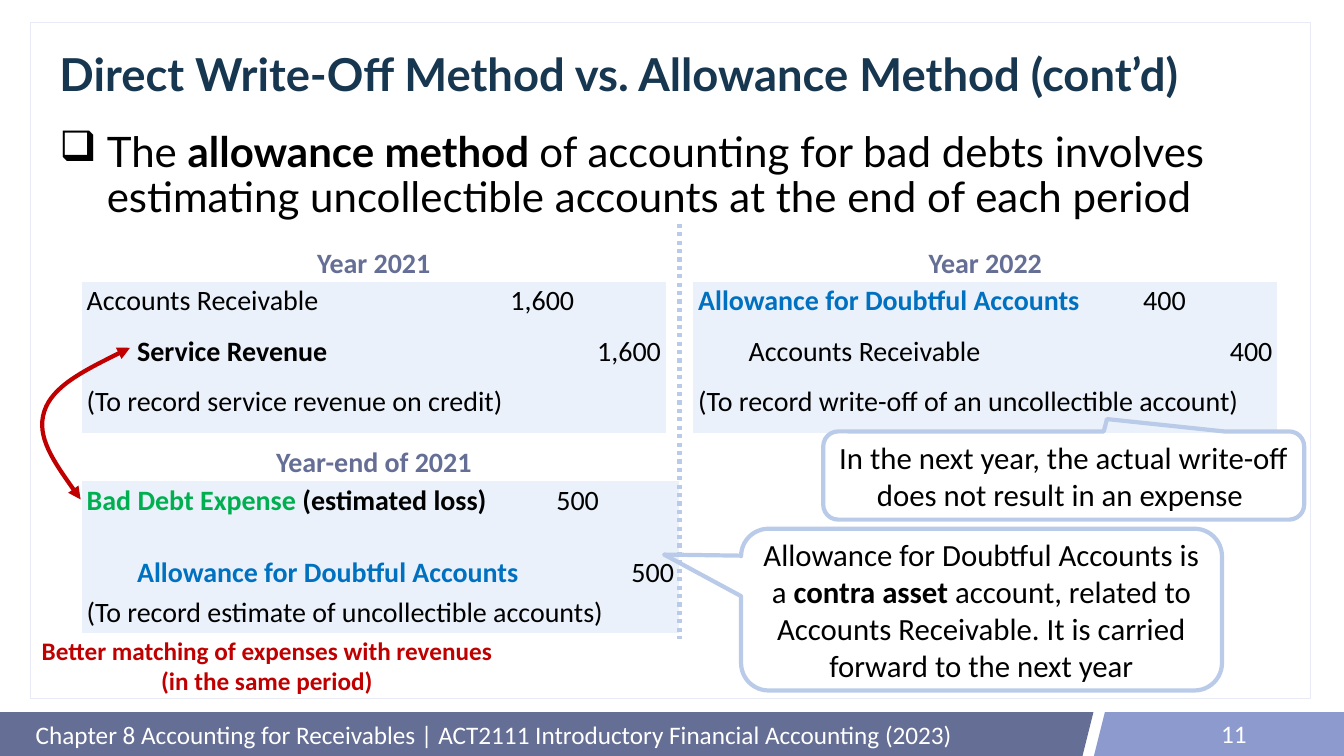
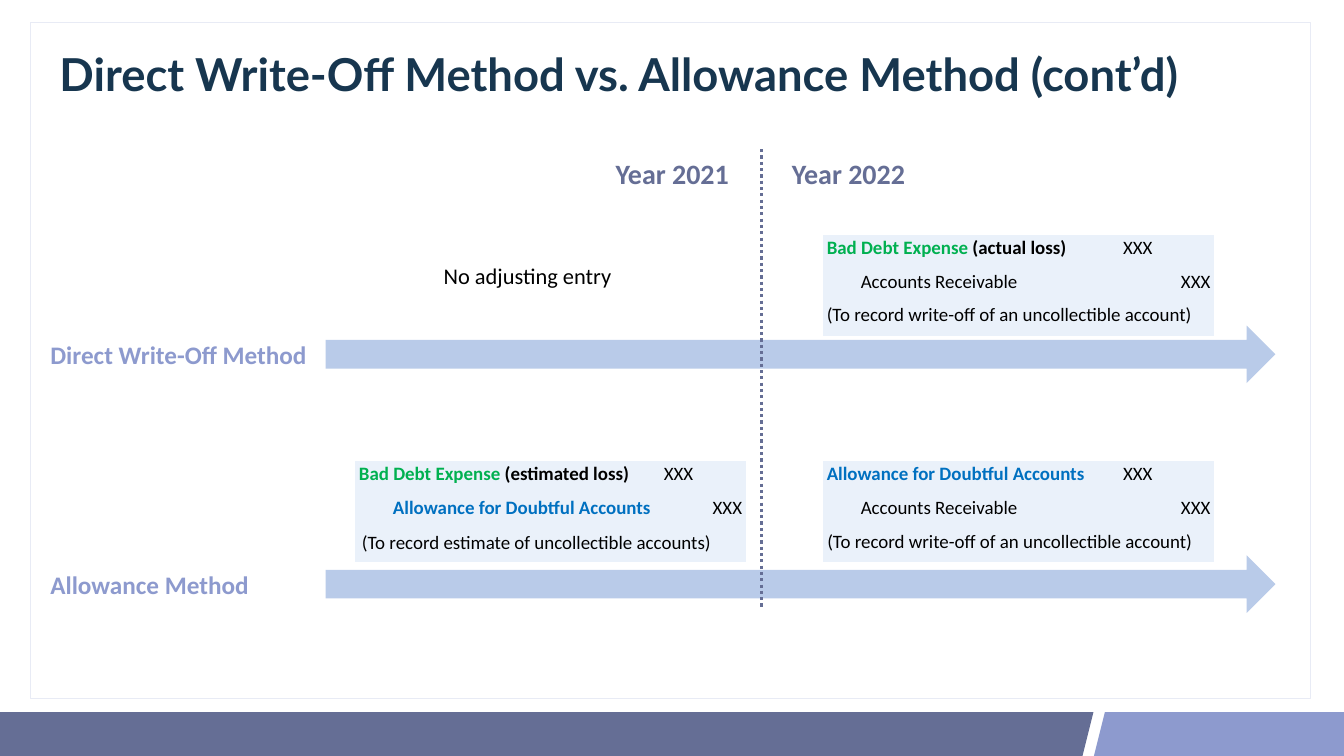
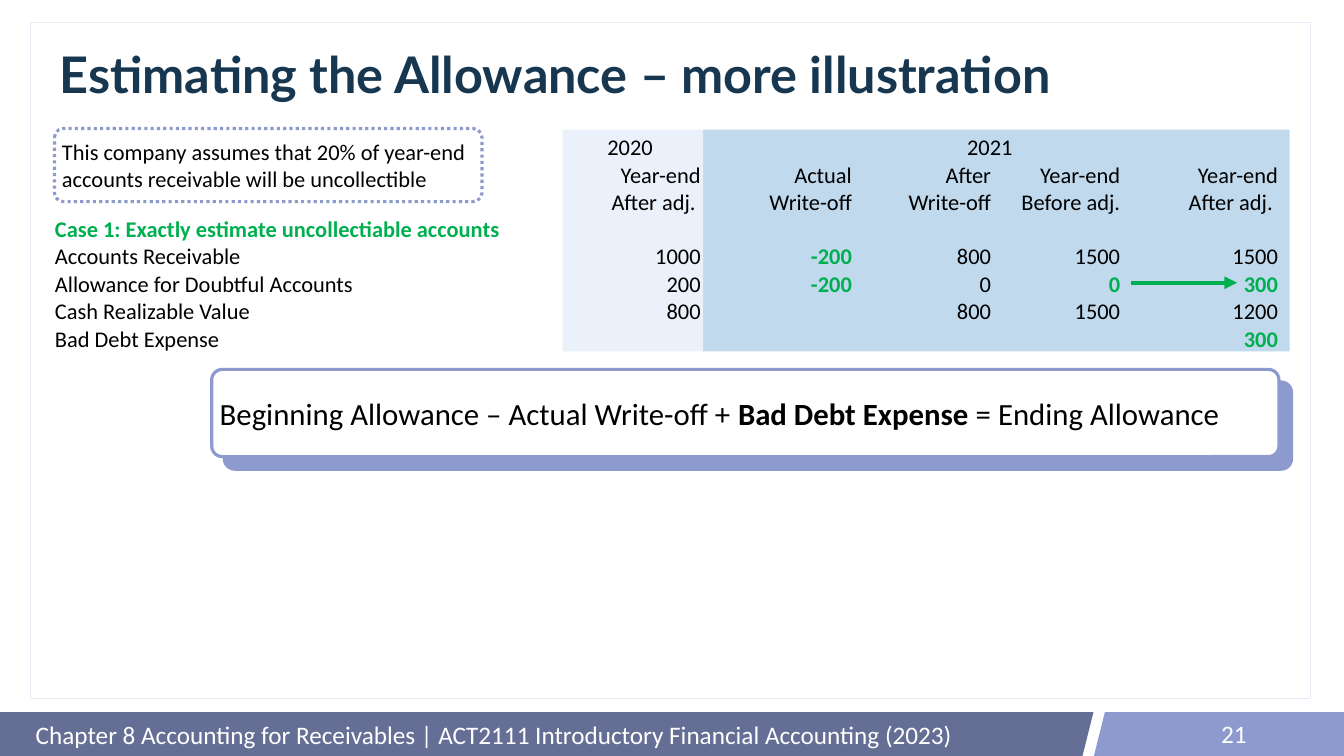
from dataclasses import dataclass
from typing import NamedTuple, Optional

from lxml.etree import SubElement
from pptx import Presentation
from pptx.dml.color import RGBColor
from pptx.enum.dml import MSO_LINE
from pptx.enum.shapes import MSO_CONNECTOR, MSO_SHAPE
from pptx.enum.text import MSO_ANCHOR, PP_ALIGN
from pptx.oxml.ns import qn
from pptx.util import Inches, Pt

COLORS = {
    "slate": "656E95", "periwinkle": "8D9ACE", "frame": "E8EBF5", "navy": "17364F",
    "pale": "EAF1FA", "sky": "C0D9ED", "light_blue": "B9CBE9", "blue": "0070C0",
    "green": "00B050", "red": "C00000", "black": "000000", "white": "FFFFFF",
}
PLAIN_TABLE_STYLE = "{2D5ABB26-0587-4C30-8999-92F81FD0307C}"
FOOTER = "Chapter 8 Accounting for Receivables | ACT2111 Introductory Financial Accounting (2023)"
COMPARISON_TITLE = "Direct Write-Off Method vs. Allowance Method (cont’d)"


class Box(NamedTuple):
    left: float
    top: float
    width: float
    height: float

    def lengths(self) -> list:
        return [Inches(value) for value in self]


class Run(NamedTuple):
    text: str
    color: str = "black"
    bold: bool = False


class Style(NamedTuple):
    size: float
    align: PP_ALIGN = PP_ALIGN.LEFT
    font: str = "Calibri"
    line_spacing: Optional[float] = None
    indent: float = 0
    bullet: str = ""


class Outline(NamedTuple):
    color: str
    width: float
    dotted: bool = False


@dataclass
class JournalEntry:
    left: float
    top: float
    columns: tuple
    rows: tuple
    debit: list
    credit: Run
    amount: str
    note: str
    size: float = 40
    margins: tuple = (0.1, 0.05)
    note_margins: Optional[tuple] = None


def rgb(name: str) -> RGBColor:
    return RGBColor.from_string(COLORS[name])


def write(frame, paragraphs: list, style: Style) -> None:
    """Fill a text frame with paragraphs, each a list of runs."""
    frame.word_wrap = True
    for number, runs in enumerate(paragraphs):
        paragraph = frame.add_paragraph() if number else frame.paragraphs[0]
        paragraph.alignment = style.align
        if style.line_spacing:
            paragraph.line_spacing = style.line_spacing
        properties = paragraph._p.get_or_add_pPr()
        if style.indent:
            properties.set("marL", str(Inches(style.indent)))
        if style.bullet:
            properties.set("indent", str(-Inches(style.indent)))
            SubElement(properties, qn("a:buChar"), char=style.bullet)
        paragraph.font.size = Pt(style.size)
        paragraph.font.name = style.font
        same_color = len({run.color for run in runs}) == 1
        same_weight = len({run.bold for run in runs}) == 1
        if same_color:
            paragraph.font.color.rgb = rgb(runs[0].color)
        if same_weight:
            paragraph.font.bold = runs[0].bold
        for run in runs:
            piece = paragraph.add_run()
            piece.text = run.text
            if not same_color:
                piece.font.color.rgb = rgb(run.color)
            if not same_weight:
                piece.font.bold = run.bold


def add_text(slide, box: Box, paragraphs: list, style: Style, anchor=MSO_ANCHOR.TOP) -> None:
    frame = slide.shapes.add_textbox(*box.lengths()).text_frame
    frame.vertical_anchor = anchor
    write(frame, paragraphs, style)


def add_heading(slide, box: Box, text: str, size: float = 40, color: str = "slate",
                align=PP_ALIGN.CENTER) -> None:
    add_text(slide, box, [[Run(text, color, True)]], Style(size, align))


def set_line(shape, outline: Outline) -> None:
    shape.line.color.rgb = rgb(outline.color)
    shape.line.width = Pt(outline.width)
    if outline.dotted:
        shape.line.dash_style = MSO_LINE.ROUND_DOT


def add_arrowheads(shape, *ends: str) -> None:
    line = shape.line._get_or_add_ln()
    for end in ends:
        SubElement(line, qn(f"a:{end}"), type="triangle")


def add_shape(slide, kind, box: Box, fill: str = "", outline: Optional[Outline] = None,
              adjustments: tuple = ()):
    shape = slide.shapes.add_shape(kind, *box.lengths())
    shape.shadow.inherit = False
    for index, value in enumerate(adjustments):
        shape.adjustments[index] = value
    if fill:
        shape.fill.solid()
        shape.fill.fore_color.rgb = rgb(fill)
    else:
        shape.fill.background()
    if outline:
        set_line(shape, outline)
    else:
        shape.line.fill.background()
    return shape


def add_panel(slide, box: Box, runs: list, size: float, outline: Outline) -> None:
    panel = add_shape(slide, MSO_SHAPE.ROUNDED_RECTANGLE, box, "white", outline, (0.12,))
    write(panel.text_frame, [runs], Style(size))


def add_callout(slide, box: Box, pointer: tuple, runs: list) -> None:
    callout = add_shape(slide, MSO_SHAPE.ROUNDED_RECTANGULAR_CALLOUT, box,
                        outline=Outline("light_blue", 6), adjustments=(*pointer, 0.17))
    write(callout.text_frame, [runs], Style(44, PP_ALIGN.CENTER))


def add_line(slide, start: tuple, end: tuple, outline: Outline):
    line = slide.shapes.add_connector(
        MSO_CONNECTOR.STRAIGHT, *[Inches(value) for value in (*start, *end)])
    set_line(line, outline)
    SubElement(line._element.spPr, qn("a:effectLst"))
    return line


def add_curve(slide, start: tuple, controls: list, outline: Outline):
    """Draw cubic curves; each three points after the start make one curve."""
    builder = slide.shapes.build_freeform(*[Inches(value) for value in start])
    builder.add_line_segments([(Inches(x), Inches(y)) for x, y in controls], close=False)
    curve = builder.convert_to_shape()
    segments = list(curve._element.iter(qn("a:lnTo")))
    for first in range(0, len(segments), 3):
        bezier = segments[first]
        bezier.tag = qn("a:cubicBezTo")
        for segment in segments[first + 1:first + 3]:
            bezier.append(segment[0])
            segment.getparent().remove(segment)
    curve.shadow.inherit = False
    curve.fill.background()
    set_line(curve, outline)
    return curve


def add_table(slide, left: float, top: float, columns: tuple, rows: tuple):
    box = Box(left, top, sum(columns), sum(rows))
    table = slide.shapes.add_table(len(rows), len(columns), *box.lengths()).table
    table.first_row = table.horz_banding = False
    table._tbl.tblPr.find(qn("a:tableStyleId")).text = PLAIN_TABLE_STYLE
    for column, width in zip(table.columns, columns):
        column.width = Inches(width)
    for row, height in zip(table.rows, rows):
        row.height = Inches(height)
    return table


def set_margins(cell, horizontal: float, top: float, bottom: float) -> None:
    cell.margin_left = cell.margin_right = Inches(horizontal)
    cell.margin_top, cell.margin_bottom = Inches(top), Inches(bottom)


def add_entry(slide, entry: JournalEntry) -> None:
    table = add_table(slide, entry.left, entry.top, entry.columns, entry.rows)
    for cell in table.iter_cells():
        cell.fill.solid()
        cell.fill.fore_color.rgb = rgb("pale")
        horizontal, vertical = entry.margins
        set_margins(cell, horizontal, vertical, vertical)
    note = table.cell(2, 0)
    note.merge(table.cell(2, 2))
    if entry.note_margins:
        horizontal, vertical = entry.note_margins
        set_margins(note, horizontal, vertical, vertical)
    left = Style(entry.size)
    right = Style(entry.size, PP_ALIGN.RIGHT)
    credit = Style(entry.size, indent=entry.size / 40)
    amount = [[Run(entry.amount)]]
    write(table.cell(0, 0).text_frame, [entry.debit], left)
    write(table.cell(0, 1).text_frame, amount, right)
    write(table.cell(1, 0).text_frame, [[entry.credit]], credit)
    write(table.cell(1, 2).text_frame, amount, right)
    write(note.text_frame, [[Run(entry.note)]], left)


def start_slide(presentation, title: str, title_size: float = 64.8, number: str = ""):
    """Add a slide with its bands, frame and title, and a footer if numbered."""
    slide = presentation.slides.add_slide(presentation.slide_layouts[6])
    for kind, left, width, color in (
        (MSO_SHAPE.RECTANGLE, 0, 19.95, "slate"),
        (MSO_SHAPE.PARALLELOGRAM, 17.39, 4.3, "slate"),
        (MSO_SHAPE.PARALLELOGRAM, 21.7, 4.3, "periwinkle"),
        (MSO_SHAPE.RECTANGLE, 22.37, 4.29, "periwinkle"),
    ):
        add_shape(slide, kind, Box(left, 14.13, width, 0.87), color)
    frame = add_shape(slide, MSO_SHAPE.RECTANGLE, Box(0.61, 0.44, 25.39, 13.41),
                      "white", Outline("frame", 1))
    SubElement(frame._element.spPr.find(f".//{qn('a:srgbClr')}"), qn("a:alpha"), val="85000")
    add_text(slide, Box(1.08, 0.8, 24.39, 1.45), [[Run(title, "navy", True)]],
             Style(title_size, font="Lato", line_spacing=0.9), MSO_ANCHOR.MIDDLE)
    if number:
        add_text(slide, Box(0.61, 14.15, 20.6, 0.85), [[Run(FOOTER, "white")]],
                 Style(36), MSO_ANCHOR.MIDDLE)
        add_text(slide, Box(18.83, 14.15, 6, 0.8), [[Run(number, "white")]],
                 Style(36, PP_ALIGN.RIGHT), MSO_ANCHOR.MIDDLE)
    return slide


RECEIVABLE = Run("Accounts Receivable")
ALLOWANCE = Run("Allowance for Doubtful Accounts", "blue", True)
BAD_DEBT = Run("Bad Debt Expense ", "green", True)
ESTIMATED_LOSS = Run("(estimated loss)", bold=True)
ESTIMATE_NOTE = "(To record estimate of uncollectible accounts)"
WRITE_OFF_NOTE = "(To record write-off of an uncollectible account)"


def build_allowance_entries(presentation) -> None:
    slide = start_slide(presentation, COMPARISON_TITLE, number="11")
    add_text(slide, Box(1.08, 2.55, 24.39, 10.97), [[
        Run("The "), Run("allowance method ", bold=True),
        Run("of accounting for bad debts involves estimating uncollectible accounts "
            "at the end of each period"),
    ]], Style(60, font="Lato", line_spacing=0.9, indent=0.94, bullet="❑"))

    for entry in (
        JournalEntry(13.75, 5.59, (8.55, 1.32, 1.72), (1, 1, 1),
                     [ALLOWANCE], RECEIVABLE, "400", WRITE_OFF_NOTE),
        JournalEntry(1.62, 5.59, (6.82, 3.05, 1.72), (1, 1, 1),
                     [RECEIVABLE], Run("Service Revenue", bold=True), "1,600",
                     "(To record service revenue on credit)"),
        JournalEntry(1.62, 9.55, (9.23, 1.13, 1.49), (1.43, 0.79, 0.79),
                     [BAD_DEBT, ESTIMATED_LOSS], ALLOWANCE, "500", ESTIMATE_NOTE),
    ):
        add_entry(slide, entry)
    for left, top, text in ((1.62, 4.82, "Year 2021"), (13.75, 4.82, "Year 2022"),
                            (1.62, 8.77, "Year-end of 2021")):
        add_heading(slide, Box(left, top, 11.59, 0.77), text)
    add_text(slide, Box(-0.8, 12.56, 12.19, 1.31), [
        [Run("Better matching of expenses with revenues", "red", True)],
        [Run("(in the same period)", "red", True)],
    ], Style(36, PP_ALIGN.CENTER))

    add_callout(slide, Box(14.7, 10.49, 9.54, 3.21), (-0.66, -0.34), [
        Run("Allowance for Doubtful Accounts is a "), Run("contra asset ", bold=True),
        Run("account, related to Accounts Receivable. It is carried forward to the next year"),
    ])
    add_line(slide, (13.48, 4.44), (13.48, 12.68), Outline("light_blue", 6, True))
    matching_arrow = add_curve(slide, (2.58, 6.9), [
        (1.81, 7.28), (1.04, 7.66), (0.88, 8.16),
        (0.71, 8.67), (1.16, 9.29), (1.6, 9.91),
    ], Outline("red", 6))
    add_arrowheads(matching_arrow, "headEnd", "tailEnd")
    add_callout(slide, Box(16.33, 8.56, 9.54, 1.75), (0.09, -0.64), [
        Run("In the next year, the actual write-off does not result in an expense "),
    ])


def build_timelines(presentation) -> None:
    slide = start_slide(presentation, COMPARISON_TITLE)
    for top, method in ((6.46, "Direct Write-Off Method"), (11.02, "Allowance Method")):
        add_shape(slide, MSO_SHAPE.RIGHT_ARROW, Box(6.46, top, 18.84, 1.14), "light_blue")
        add_heading(slide, Box(0.9, top + 0.22, 5.41, 0.71), method, 36, "periwinkle",
                    PP_ALIGN.LEFT)
    add_line(slide, (15.11, 2.96), (15.11, 12.04), Outline("slate", 4.5, True))
    add_heading(slide, Box(11.51, 3.06, 3.65, 0.77), "Year 2021")
    add_heading(slide, Box(15.06, 3.06, 3.54, 0.77), "Year 2022")

    rows, small = (0.67, 0.67, 0.67), (0.07, 0.03)
    wide, narrow = (6.03, 0.74, 0.97), (5.71, 0.89, 1.15)
    for entry in (
        JournalEntry(7.05, 9.15, wide, rows, [BAD_DEBT, ESTIMATED_LOSS], ALLOWANCE,
                     "XXX", ESTIMATE_NOTE, 27, small, (0.13, 0.06)),
        JournalEntry(16.33, 9.15, narrow, rows, [ALLOWANCE], RECEIVABLE,
                     "XXX", WRITE_OFF_NOTE, 27, small, (0.08, 0.04)),
        JournalEntry(16.33, 4.66, narrow, rows, [BAD_DEBT, Run("(actual loss)", bold=True)],
                     RECEIVABLE, "XXX", WRITE_OFF_NOTE, 27, small),
    ):
        add_entry(slide, entry)
    add_text(slide, Box(7.6, 5.16, 5.73, 0.64), [[Run("No adjusting entry")]],
             Style(32, PP_ALIGN.CENTER))


def build_estimate(presentation) -> None:
    slide = start_slide(presentation, "Estimating the Allowance – more illustration", 72, "21")
    add_shape(slide, MSO_SHAPE.RECTANGLE, Box(13.95, 2.57, 11.63, 4.4), "sky")
    add_shape(slide, MSO_SHAPE.RECTANGLE, Box(11.16, 2.57, 2.79, 4.4), "pale")

    values = (
        ("", "2020", "2021", "", "", ""),
        ("", "Year-end\nAfter adj. ", "Actual\nWrite-off", "After\nWrite-off",
         "Year-end\nBefore adj.", "Year-end\nAfter adj. "),
        ("Case 1: Exactly estimate uncollectiable accounts", "", "", "", "", ""),
        ("Accounts Receivable", "1000", "-200", "800", "1500", "1500"),
        ("Allowance for Doubtful Accounts", "200", "-200", "0", "0", "300"),
        ("Cash Realizable Value", "800", "", "800", "1500", "1200"),
        ("Bad Debt Expense", "", "", "", "", "300"),
    )
    highlighted = {(2, 0), (3, 2), (4, 2), (4, 4), (4, 5), (6, 5)}
    table = add_table(slide, 1.08, 2.66, (10.01, 2.82, 3, 2.76, 2.56, 3.13),
                      (0.53, 1.06, *[0.53] * 5))
    table.cell(0, 2).merge(table.cell(0, 5))
    table.cell(2, 0).merge(table.cell(2, 2))
    for row, texts in enumerate(values):
        for column, text in enumerate(texts):
            cell = table.cell(row, column)
            cell.fill.background()
            if not text:
                continue
            cell.vertical_anchor = MSO_ANCHOR.BOTTOM
            set_margins(cell, 0.01, 0.01, 0)
            align = PP_ALIGN.RIGHT
            if column == 0:
                align = PP_ALIGN.LEFT
            elif row == 0:
                align = PP_ALIGN.CENTER
            marked = (row, column) in highlighted
            color = "green" if marked else "black"
            write(cell.text_frame, [[Run(line, color, marked)] for line in text.split("\n")],
                  Style(32, align))

    adjustment_arrow = add_line(slide, (22.44, 5.61), (24.54, 5.61), Outline("green", 6))
    add_arrowheads(adjustment_arrow, "tailEnd")
    add_panel(slide, Box(1.08, 2.55, 8.48, 1.45), [
        Run("This company assumes that 20% of year-end accounts receivable will be uncollectible"),
    ], 32, Outline("periwinkle", 4.5, True))
    border = Outline("periwinkle", 4.5)
    add_shape(slide, MSO_SHAPE.ROUNDED_RECTANGLE, Box(4.45, 7.58, 21.17, 1.73),
              "periwinkle", border, (0.12,))
    add_panel(slide, Box(4.2, 7.33, 21.17, 1.73), [
        Run("Beginning Allowance – Actual Write-off + "), Run("Bad Debt Expense", bold=True),
        Run(" = Ending Allowance"),
    ], 44, border)


def main() -> None:
    presentation = Presentation()
    presentation.slide_width = Inches(26.66)
    presentation.slide_height = Inches(15)
    build_allowance_entries(presentation)
    build_timelines(presentation)
    build_estimate(presentation)
    presentation.save("out.pptx")


if __name__ == "__main__":
    main()
